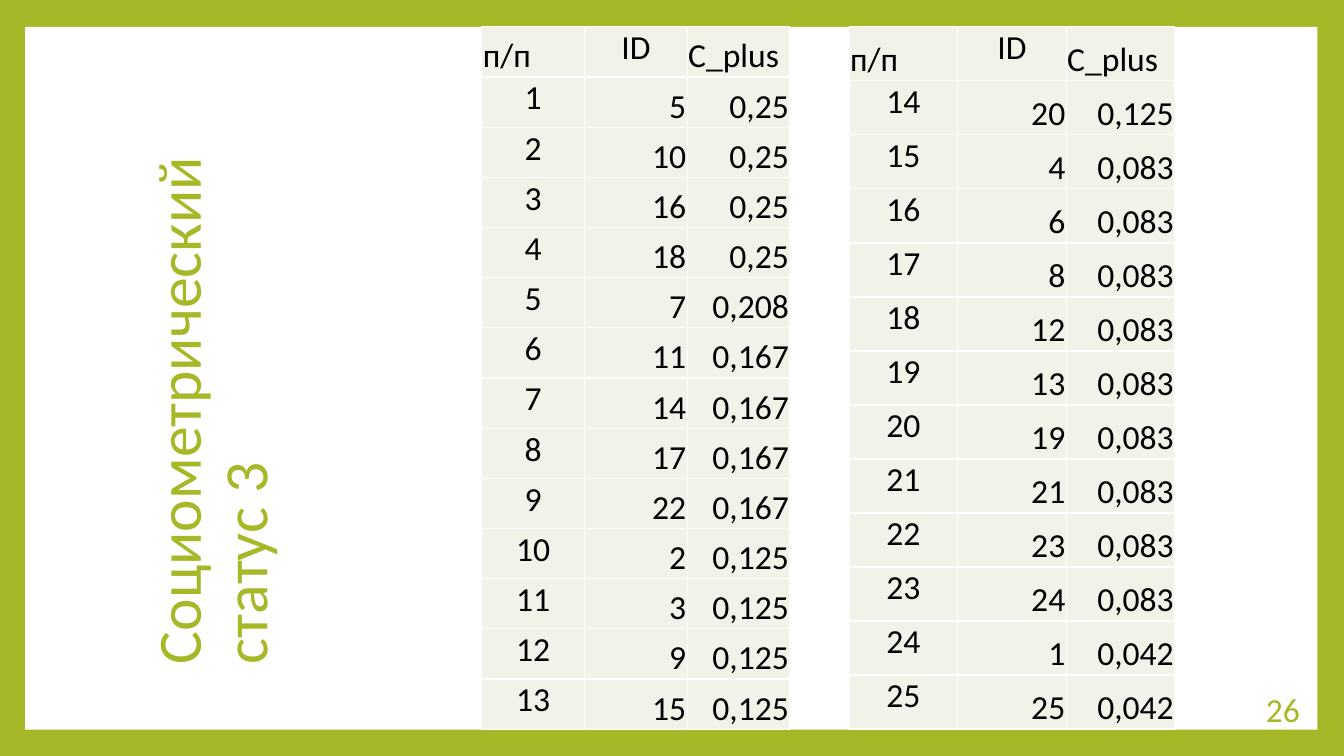
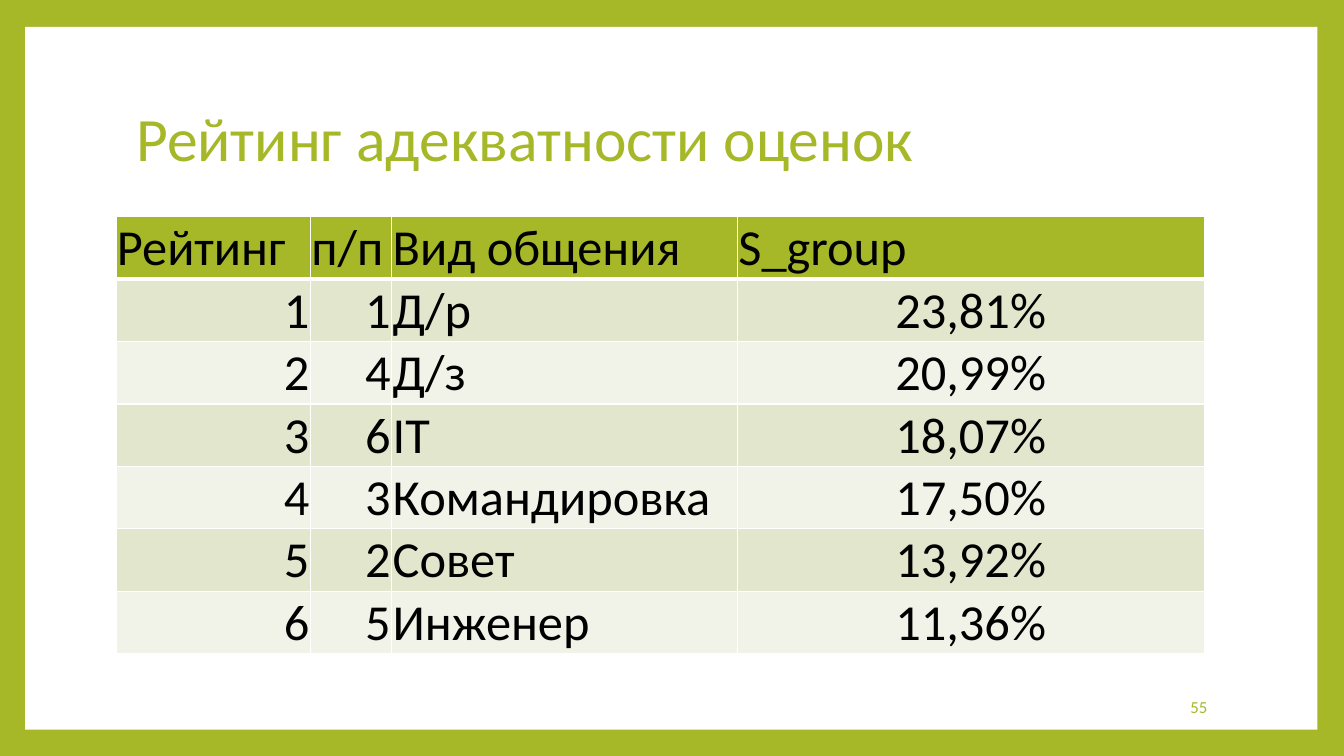
from dataclasses import dataclass

from lxml.etree import SubElement
from pptx import Presentation
from pptx.dml.color import RGBColor
from pptx.enum.shapes import MSO_SHAPE
from pptx.enum.text import MSO_ANCHOR, MSO_AUTO_SIZE, PP_ALIGN
from pptx.oxml.ns import qn
from pptx.presentation import Presentation as Deck
from pptx.slide import Slide
from pptx.text.text import TextFrame
from pptx.util import Pt

LEFT, MID, RIGHT = PP_ALIGN.LEFT, PP_ALIGN.CENTER, PP_ALIGN.RIGHT
TOP, LOW = MSO_ANCHOR.TOP, MSO_ANCHOR.BOTTOM


# Theme
@dataclass(frozen=True)
class Theme:
    font: str = "Calibri"
    green: str = "A6B727"
    white: str = "FFFFFF"
    black: str = "000000"
    band: str = "E1E6CD"
    pale: str = "F1F3E8"
    title: float = 44
    large: float = 36
    text: float = 24
    small: float = 12
    thin: float = 1
    thick: float = 3
    inset: float = 0.72


THEME = Theme()


@dataclass(frozen=True)
class Box:
    left: float
    top: float
    width: float
    height: float

    def points(self) -> tuple[Pt, Pt, Pt, Pt]:
        return Pt(self.left), Pt(self.top), Pt(self.width), Pt(self.height)


@dataclass(frozen=True)
class Col:
    head: str
    width: float
    align: PP_ALIGN
    anchor: MSO_ANCHOR = LOW
    top_align: PP_ALIGN = LEFT
    top_anchor: MSO_ANCHOR = LOW


@dataclass(frozen=True)
class Grid:
    box: Box
    cols: list[Col]
    rows: list[tuple[str, ...]]
    size: float
    fills: tuple[str, str]
    head_fill: str
    rule: float


# Shared parts
def write(frame: TextFrame, lines: list[str], size: float, tint: str, align: PP_ALIGN) -> None:
    para = frame.paragraphs[0]
    para.alignment = align
    for i, line in enumerate(lines):
        if i:
            para.add_line_break()
        run = para.add_run()
        run.text = line
        run.font.name = THEME.font
        run.font.size = Pt(size)
        run.font.color.rgb = RGBColor.from_string(tint)


def add_frame(deck: Deck, slide: Slide) -> None:
    """Put the green ground and the white panel on the master."""
    master = deck.slide_master
    ground = master.background.fill
    ground.solid()
    ground.fore_color.rgb = RGBColor.from_string(THEME.green)
    panel = slide.shapes.add_shape(MSO_SHAPE.RECTANGLE, *Box(18, 19.2, 923, 502).points())
    panel.shadow.inherit = False
    panel.fill.solid()
    panel.fill.fore_color.rgb = RGBColor.from_string(THEME.white)
    panel.line.fill.background()
    panel.element.nvSpPr.cNvPr.set("id", "99")
    master.shapes.element.insert(2, panel.element)


def add_title(slide: Slide, box: Box, lines: list[str]) -> None:
    """Fill the title placeholder, or a turned text box where the layout has none."""
    title = slide.shapes.title
    if title is None:
        title = slide.shapes.add_textbox(*box.points())
        title.text_frame._txBody.bodyPr.set("vert", "vert270")
    title.left, title.top, title.width, title.height = box.points()
    frame = title.text_frame
    frame.word_wrap = True
    frame.auto_size = MSO_AUTO_SIZE.NONE
    frame.vertical_anchor = MSO_ANCHOR.MIDDLE
    write(frame, lines, THEME.title, THEME.green, LEFT)
    frame.paragraphs[0].line_spacing = 0.9


def add_page(slide: Slide, box: Box, page: str, size: float) -> None:
    frame = slide.shapes.add_textbox(*box.points()).text_frame
    frame.word_wrap = True
    frame.vertical_anchor = MSO_ANCHOR.MIDDLE
    write(frame, [page], size, THEME.green, RIGHT)


# Tables
def add_grid(slide: Slide, grid: Grid) -> None:
    lines = [tuple(col.head for col in grid.cols), *grid.rows]
    shape = slide.shapes.add_table(len(lines), len(grid.cols), *grid.box.points())
    table = shape.table
    table.first_row = table.horz_banding = False
    for slot, col in zip(table.columns, grid.cols):
        slot.width = Pt(col.width)
    for r, line in enumerate(lines):
        table.rows[r].height = Pt(grid.box.height / len(lines))
        tint = grid.fills[(r - 1) % 2] if r else grid.head_fill
        for c, (col, text) in enumerate(zip(grid.cols, line)):
            cell = table.cell(r, c)
            cell.margin_left = cell.margin_right = cell.margin_top = Pt(THEME.inset)
            cell.margin_bottom = 0
            cell.vertical_anchor = col.anchor if r else col.top_anchor
            # Borders come before the fill in the cell's XML
            edges = {"L": THEME.thin, "R": THEME.thin,
                     "T": grid.rule if r == 1 else THEME.thin,
                     "B": grid.rule if r == 0 else THEME.thin}
            for side, width in edges.items():
                edge = SubElement(cell._tc.get_or_add_tcPr(), qn(f"a:ln{side}"), w=str(Pt(width)))
                SubElement(SubElement(edge, qn("a:solidFill")), qn("a:srgbClr"), val=THEME.white)
            cell.fill.solid()
            cell.fill.fore_color.rgb = RGBColor.from_string(tint)
            align = col.align if r else col.top_align
            write(cell.text_frame, [text], grid.size, THEME.black, align)


# Slide data
SCORES = {
    "0,25": (5, 10, 16, 18),
    "0,208": (7,),
    "0,167": (11, 14, 17, 22),
    "0,125": (2, 3, 9, 15, 20),
    "0,083": (4, 6, 8, 12, 13, 19, 21, 23, 24),
    "0,042": (1, 25),
}
SPLIT = 13

RATING = [
    ("1", "1", "Д/р", "23,81%"),
    ("2", "4", "Д/з", "20,99%"),
    ("3", "6", "IT", "18,07%"),
    ("4", "3", "Командировка", "17,50%"),
    ("5", "2", "Совет", "13,92%"),
    ("6", "5", "Инженер", "11,36%"),
]


def fill_status(slide: Slide) -> None:
    add_title(slide, Box(63, 37.5, 180, 444), ["Социометрический", "статус 3"])
    add_page(slide, Box(800.5, 492, 135, 28.8), "26", THEME.text)
    pairs = [(str(who), score) for score, group in SCORES.items() for who in group]
    rows = [(str(n), *pair) for n, pair in enumerate(pairs, 1)]
    for left, width, part in ((344.2, 220, rows[:SPLIT]), (606.6, 232.5, rows[SPLIT:])):
        third = width / 3
        cols = [
            Col("п/п", third, MID, TOP),
            Col("ID", third, RIGHT, top_align=MID, top_anchor=TOP),
            Col("C_plus", third, RIGHT),
        ]
        add_grid(slide, Grid(Box(left, 19.2, width, 501.8), cols, part, THEME.text,
                             (THEME.pale, THEME.pale), THEME.pale, THEME.thin))


def fill_rating(slide: Slide) -> None:
    add_title(slide, Box(90, 48, 777.6, 106.5), ["Рейтинг адекватности оценок"])
    add_page(slide, Box(734.4, 490.5, 135, 28.8), "55", THEME.small)
    cols = [
        Col("Рейтинг", 139, RIGHT),
        Col("п/п", 58, RIGHT),
        Col("Вид общения", 247, LEFT),
        Col("S_group", 333.4, MID),
    ]
    add_grid(slide, Grid(Box(82.8, 154.8, 777.4, 312.2), cols, RATING, THEME.large,
                         (THEME.band, THEME.pale), THEME.green, THEME.thick))


def main() -> None:
    deck = Presentation()
    deck.slide_width, deck.slide_height = Pt(960), Pt(540)
    titled, blank = deck.slide_layouts[5], deck.slide_layouts[6]
    first, second = (deck.slides.add_slide(plan) for plan in (blank, titled))
    add_frame(deck, first)
    fill_status(first)
    fill_rating(second)
    deck.save("out.pptx")


if __name__ == "__main__":
    main()
